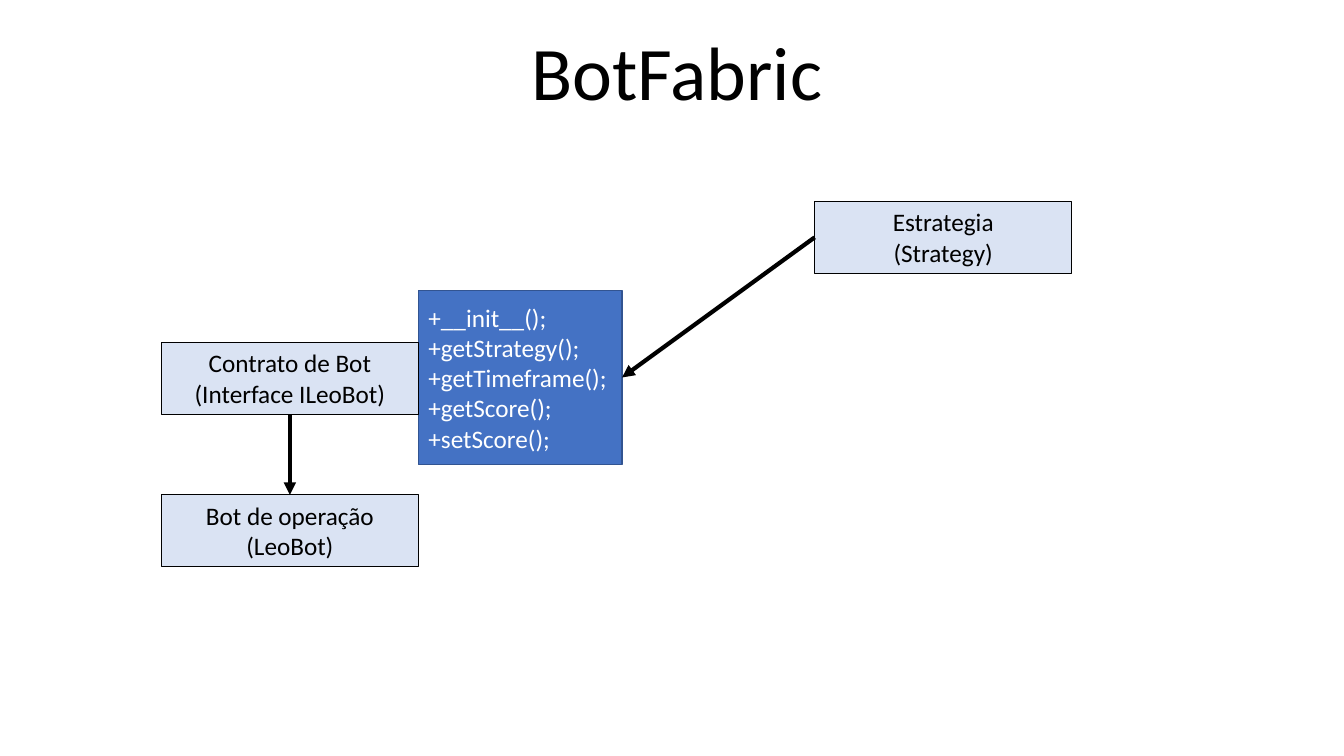
from dataclasses import dataclass

from lxml import etree
from pptx import Presentation
from pptx.dml.color import RGBColor
from pptx.enum.shapes import MSO_CONNECTOR, MSO_SHAPE
from pptx.enum.text import MSO_ANCHOR, MSO_AUTO_SIZE, PP_ALIGN
from pptx.oxml.ns import qn
from pptx.shapes.autoshape import Shape
from pptx.slide import Slide
from pptx.text.text import TextFrame
from pptx.util import Inches, Pt

RECTANGLE = MSO_SHAPE.RECTANGLE
STRAIGHT = MSO_CONNECTOR.STRAIGHT
LEFT, CENTER = PP_ALIGN.LEFT, PP_ALIGN.CENTER
TOP, MIDDLE = MSO_ANCHOR.TOP, MSO_ANCHOR.MIDDLE
NO_AUTOFIT = MSO_AUTO_SIZE.NONE
LEFT_SITE, BOTTOM_SITE, RIGHT_SITE, TOP_SITE = 1, 2, 3, 0
TITLE_ONLY = 5


@dataclass(frozen=True)
class Theme:
    font: str = "Calibri"
    title_size: int = 54
    body_size: int = 18
    black: RGBColor = RGBColor(0x00, 0x00, 0x00)
    white: RGBColor = RGBColor(0xFF, 0xFF, 0xFF)
    pale_blue: RGBColor = RGBColor(0xDA, 0xE3, 0xF3)
    blue: RGBColor = RGBColor(0x44, 0x72, 0xC4)
    dark_blue: RGBColor = RGBColor(0x32, 0x54, 0x91)
    arrow_width: float = 3


THEME = Theme()


@dataclass(frozen=True)
class Box:
    text: str
    left: float
    top: float
    width: float = 2.55
    height: float = 0.71
    fill: RGBColor = THEME.pale_blue
    line: RGBColor = THEME.black
    line_width: float = 0.75
    ink: RGBColor = THEME.black
    align: PP_ALIGN = CENTER
    anchor: MSO_ANCHOR = TOP


def format_text(frame: TextFrame, size: int, ink: RGBColor, align: PP_ALIGN) -> None:
    frame.auto_size = NO_AUTOFIT
    for paragraph in frame.paragraphs:
        paragraph.alignment = align
        for run in paragraph.runs:
            run.font.name = THEME.font
            run.font.size = Pt(size)
            run.font.color.rgb = ink


def draw_title(slide: Slide, text: str) -> None:
    title = slide.shapes.title
    title.left, title.top = Inches(5.16), Inches(0.2)
    title.width, title.height = Inches(3.11), Inches(1.01)
    title.text_frame.text = text
    title.text_frame.word_wrap = False
    title.text_frame.vertical_anchor = TOP
    format_text(title.text_frame, THEME.title_size, THEME.black, CENTER)


def draw_box(slide: Slide, box: Box) -> Shape:
    shape = slide.shapes.add_shape(
        RECTANGLE, Inches(box.left), Inches(box.top), Inches(box.width), Inches(box.height)
    )
    shape.shadow.inherit = False
    shape.fill.solid()
    shape.fill.fore_color.rgb = box.fill
    shape.line.color.rgb = box.line
    shape.line.width = Pt(box.line_width)
    frame = shape.text_frame
    frame.text = box.text
    frame.word_wrap = True
    frame.vertical_anchor = box.anchor
    format_text(frame, THEME.body_size, box.ink, box.align)
    return shape


def draw_arrow(slide: Slide, start: Shape, start_site: int, end: Shape, end_site: int) -> None:
    arrow = slide.shapes.add_connector(STRAIGHT, 0, 0, 0, 0)
    arrow.begin_connect(start, start_site)
    arrow.end_connect(end, end_site)
    arrow.line.color.rgb = THEME.black
    arrow.line.width = Pt(THEME.arrow_width)
    etree.SubElement(arrow.line._get_or_add_ln(), qn("a:tailEnd"), type="triangle")
    etree.SubElement(arrow._element.spPr, qn("a:effectLst"))


METHODS = Box(
    "+__init__();\n+getStrategy();\n+getTimeframe();\n+getScore();\n+setScore();",
    4.15, 2.88, 2.02, 1.73,
    fill=THEME.blue, line=THEME.dark_blue, line_width=1,
    ink=THEME.white, align=LEFT, anchor=MIDDLE,
)
LEO_BOT = Box("Bot de operação\n(LeoBot)", 1.6, 4.91)
CONTRACT = Box("Contrato de Bot (Interface ILeoBot)", 1.6, 3.4)
STRATEGY = Box("Estrategia\n(Strategy)", 8.08, 2)

presentation = Presentation()
presentation.slide_width = Inches(13.33)
presentation.slide_height = Inches(7.5)
slide = presentation.slides.add_slide(presentation.slide_layouts[TITLE_ONLY])

draw_title(slide, "BotFabric")
methods, leo_bot, contract, strategy = (
    draw_box(slide, box) for box in (METHODS, LEO_BOT, CONTRACT, STRATEGY)
)
draw_arrow(slide, contract, BOTTOM_SITE, leo_bot, TOP_SITE)
draw_arrow(slide, strategy, LEFT_SITE, methods, RIGHT_SITE)

presentation.save("out.pptx")
